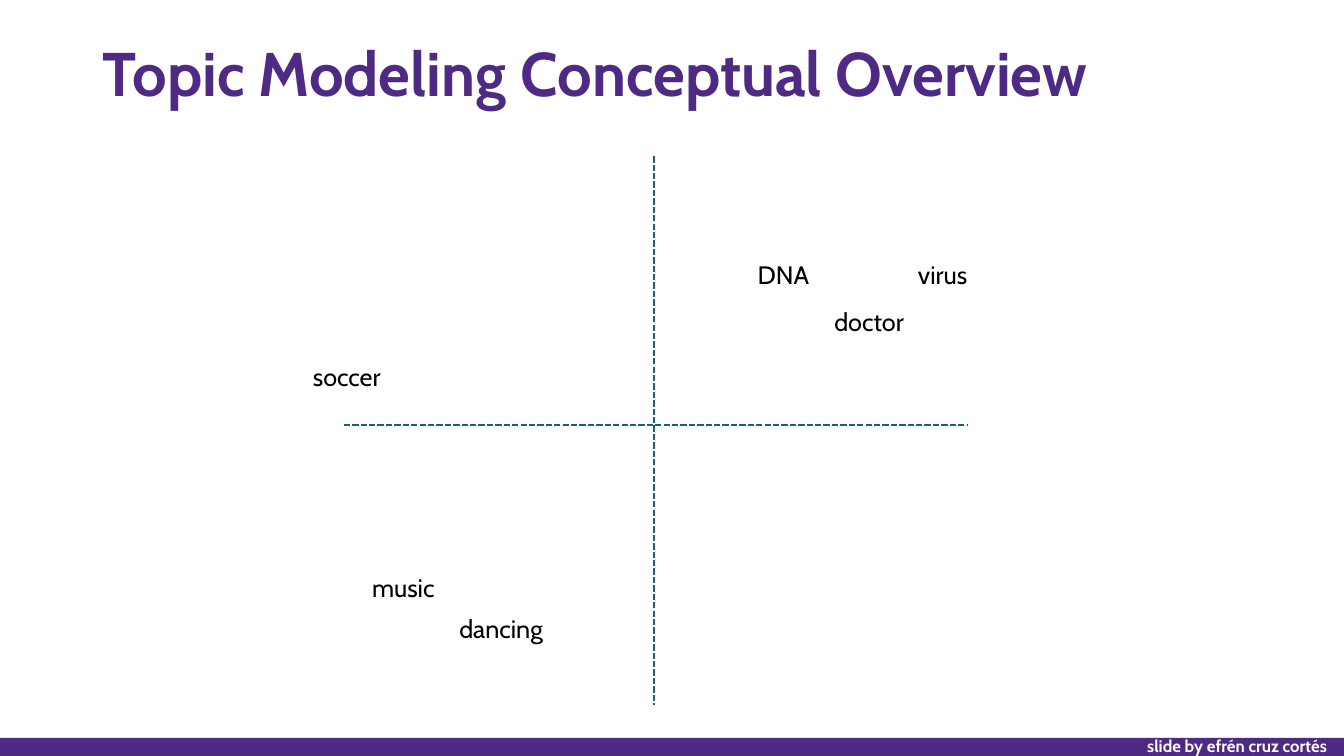
import pptx
import pptx.dml.color
import pptx.enum.dml
import pptx.enum.shapes
import pptx.enum.text
import pptx.oxml.ns
import pptx.util
from lxml import etree

Inches = pptx.util.Inches
Pt = pptx.util.Pt
ALIGN = pptx.enum.text.PP_ALIGN

FONT = "Cabin"
PURPLE, TEAL, BLACK, WHITE = "4E2A84", "156082", "000000", "FFFFFF"

TITLE = "Topic Modeling Conceptual Overview"
CREDIT = "slide by efrén cruz cortés"
# word: (left, top) of its label
WORDS = {
    "virus": (8.5, 2.52),
    "DNA": (6.92, 2.52),
    "doctor": (7.77, 2.99),
    "dancing": (4.12, 6.04),
    "soccer": (2.59, 3.54),
    "music": (3.15, 5.63),
}
WORD_SIZE = (1.7, 0.4)
AXES = [(6.49, 1.55, 6.49, 6.99), (3.41, 4.22, 9.6, 4.22)]

WORD_FORMAT = {"size": Pt(18), "name": FONT, "bold": False}
CREDIT_FORMAT = {"size": Pt(12), "name": FONT, "bold": True}
TITLE_FORMAT = {"size": Pt(44), "name": FONT, "bold": True}


def rgb(value):
    return pptx.dml.color.RGBColor.from_string(value)


def write(frame, text, font_format, color, align=ALIGN.LEFT):
    paragraph = frame.paragraphs[0]
    paragraph.alignment = align
    run = paragraph.add_run()
    run.text = text
    for attribute, value in font_format.items():
        setattr(run.font, attribute, value)
    run.font.color.rgb = rgb(color)
    return paragraph


def add_label(slide, box, text, font_format, color, align, wrap):
    frame = slide.shapes.add_textbox(*map(Inches, box)).text_frame
    frame.word_wrap = wrap
    write(frame, text, font_format, color, align)


def add_axis(slide, ends):
    axis = slide.shapes.add_connector(
        pptx.enum.shapes.MSO_CONNECTOR.STRAIGHT, *map(Inches, ends))
    axis.line.color.rgb = rgb(TEAL)
    axis.line.width = Pt(1.5)
    # python-pptx calls the sysDash preset SQUARE_DOT's sibling, so set it directly
    line = axis.line._get_or_add_ln()
    dash = etree.SubElement(line, pptx.oxml.ns.qn("a:prstDash"))
    dash.set("val", "sysDash")
    etree.SubElement(axis._element.spPr, pptx.oxml.ns.qn("a:effectLst"))


def main():
    deck = pptx.Presentation()
    deck.slide_width, deck.slide_height = Inches(13.33), Inches(7.5)
    slide = deck.slides.add_slide(deck.slide_layouts[5])

    footer_band = slide.shapes.add_shape(
        pptx.enum.shapes.MSO_SHAPE.RECTANGLE,
        *map(Inches, (0, 7.32, 13.33, 0.18)))
    footer_band.shadow.inherit = False
    footer_band.fill.solid()
    footer_band.fill.fore_color.rgb = rgb(PURPLE)
    footer_band.line.fill.background()

    for ends in AXES:
        add_axis(slide, ends)
    for word, corner in WORDS.items():
        add_label(slide, corner + WORD_SIZE, word, WORD_FORMAT, BLACK,
                  ALIGN.CENTER, True)
    add_label(slide, (11.28, 7.25, 2.12, 0.3), CREDIT, CREDIT_FORMAT, WHITE,
              ALIGN.LEFT, False)

    title = slide.shapes.title
    title.left, title.top, title.width, title.height = map(
        Inches, (0.92, 0.27, 11.5, 0.98))
    title.text_frame.vertical_anchor = pptx.enum.text.MSO_ANCHOR.MIDDLE
    write(title.text_frame, TITLE, TITLE_FORMAT, PURPLE).line_spacing = 0.9

    deck.save("out.pptx")


if __name__ == "__main__":
    main()
